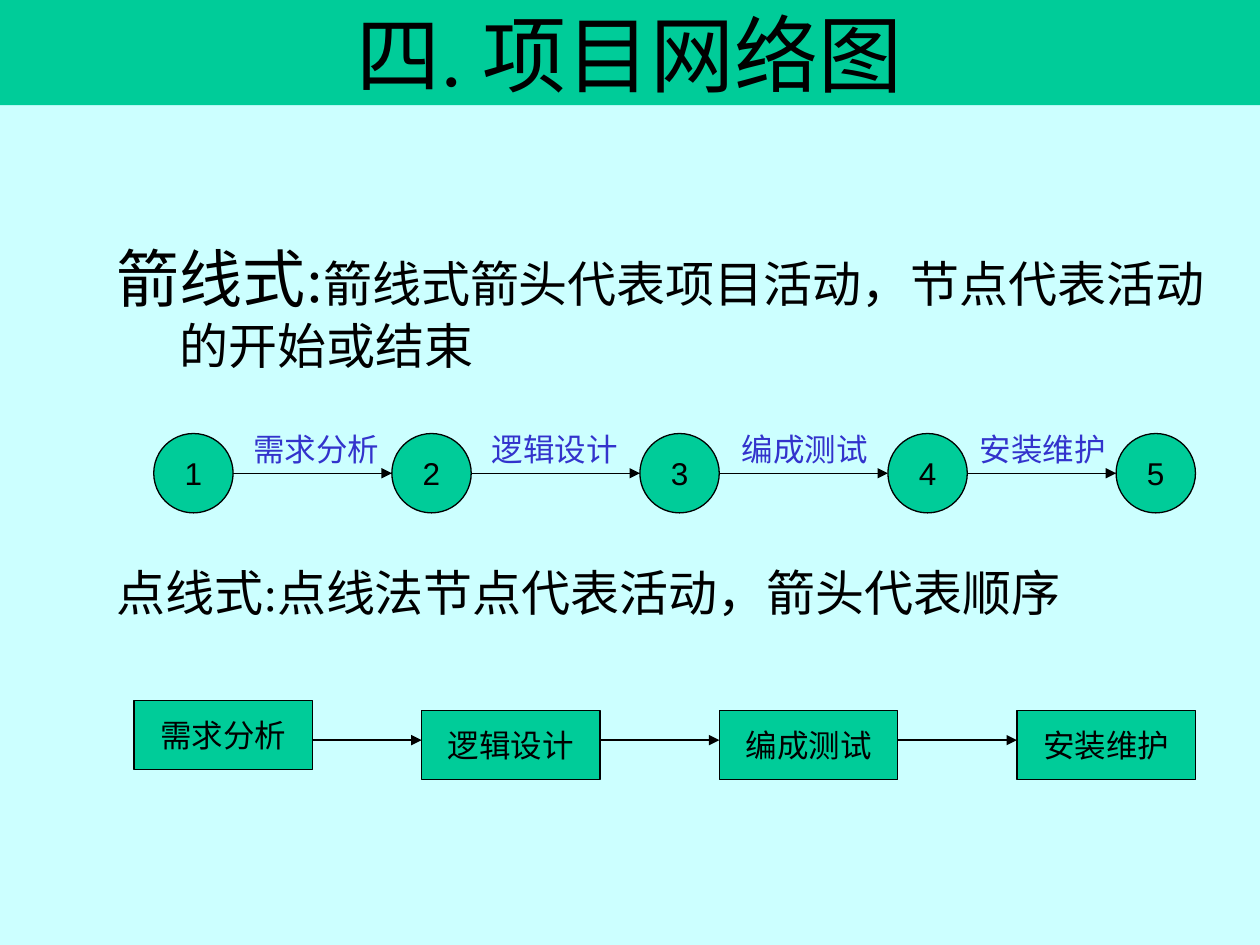
import itertools
from dataclasses import dataclass

import lxml.etree
import pptx
import pptx.dml.color
import pptx.enum.dml
import pptx.enum.shapes
import pptx.enum.text
import pptx.oxml.ns
import pptx.util


@dataclass(frozen=True)
class Theme:
    background: str = "CCFFFF"
    accent: str = "00CC99"
    ink: str = "000000"
    label: str = "3333CC"
    heading_font: str = "Times New Roman"
    diagram_font: str = "Arial"
    title_size: int = 48
    lead_size: int = 36
    body_size: int = 28
    diagram_size: int = 18
    line_width: float = 0.75


@dataclass(frozen=True)
class Box:
    left: float
    top: float
    width: float
    height: float


THEME = Theme()
SLIDE_WIDTH = pptx.util.Inches(10)
SLIDE_HEIGHT = pptx.util.Inches(7.5)
GRID = SLIDE_WIDTH / 127
ACTIVITIES = ("需求分析", "逻辑设计", "编成测试", "安装维护")
SHAPES = pptx.enum.shapes.MSO_SHAPE


def grid(*lengths):
    return [round(length * GRID) for length in lengths]


def color(value):
    return pptx.dml.color.RGBColor.from_string(value)


def fill_solid(fill, value):
    fill.solid()
    fill.fore_color.rgb = color(value)


def style_font(font, name, size, value):
    font.name = name
    font.size = pptx.util.Pt(size)
    font.color.rgb = color(value)


def place(shape, box):
    shape.left, shape.top, shape.width, shape.height = grid(
        box.left, box.top, box.width, box.height)


def add_title(slide, box, text):
    title = slide.shapes.title
    place(title, box)
    fill_solid(title.fill, THEME.accent)
    frame = title.text_frame
    frame.text = text
    frame.auto_size = pptx.enum.text.MSO_AUTO_SIZE.NONE
    frame.vertical_anchor = pptx.enum.text.MSO_ANCHOR.MIDDLE
    paragraph = frame.paragraphs[0]
    paragraph.alignment = pptx.enum.text.PP_ALIGN.CENTER
    style_font(paragraph.font, THEME.heading_font, THEME.title_size, THEME.ink)


def add_definitions(slide, box, definitions):
    body = slide.placeholders[1]
    place(body, box)
    frame = body.text_frame
    frame.auto_size = pptx.enum.text.MSO_AUTO_SIZE.NONE
    for index, (term, meaning, term_size, space_before) in enumerate(definitions):
        paragraph = frame.paragraphs[0] if index == 0 else frame.add_paragraph()
        properties = paragraph._p.get_or_add_pPr()
        indent = pptx.util.Inches(0.5)
        properties.set("marL", str(indent))
        properties.set("indent", str(-indent))
        lxml.etree.SubElement(properties, pptx.oxml.ns.qn("a:buNone"))
        paragraph.space_before = pptx.util.Pt(space_before)
        style_font(paragraph.font, THEME.heading_font, THEME.body_size, THEME.ink)
        term_run = paragraph.add_run()
        term_run.text = term
        if term_size != THEME.body_size:
            term_run.font.size = pptx.util.Pt(term_size)
        paragraph.add_run().text = meaning


def add_arrow(group, start, end, row):
    arrow = group.shapes.add_connector(
        pptx.enum.shapes.MSO_CONNECTOR.STRAIGHT, *grid(start, row, end, row))
    arrow.line.width = pptx.util.Pt(THEME.line_width)
    arrow.line.color.rgb = color(THEME.ink)
    lxml.etree.SubElement(
        arrow.line._get_or_add_ln(), pptx.oxml.ns.qn("a:tailEnd"), type="triangle")
    lxml.etree.SubElement(arrow._element.spPr, pptx.oxml.ns.qn("a:effectLst"))


def add_node(group, kind, box, text):
    node = group.shapes.add_shape(
        kind, *grid(box.left, box.top, box.width, box.height))
    node.shadow.inherit = False
    fill_solid(node.fill, THEME.accent)
    node.line.color.rgb = color(THEME.ink)
    node.line.width = pptx.util.Pt(THEME.line_width)
    frame = node.text_frame
    frame.text = text
    frame.word_wrap = False
    frame.vertical_anchor = pptx.enum.text.MSO_ANCHOR.MIDDLE
    paragraph = frame.paragraphs[0]
    paragraph.alignment = pptx.enum.text.PP_ALIGN.CENTER
    style_font(paragraph.font, THEME.diagram_font, THEME.diagram_size, THEME.ink)


def add_label(group, box, text):
    label = group.shapes.add_textbox(
        *grid(box.left, box.top, box.width, box.height))
    frame = label.text_frame
    frame.text = text
    frame.word_wrap = False
    frame.auto_size = pptx.enum.text.MSO_AUTO_SIZE.SHAPE_TO_FIT_TEXT
    style_font(frame.paragraphs[0].font, THEME.diagram_font,
               THEME.diagram_size, THEME.label)


def node_lefts(box, node_width, gaps):
    steps = (gap + node_width for gap in gaps)
    return list(itertools.accumulate(steps, initial=box.left))


def add_arrow_diagram(slide, box):
    group = slide.shapes.add_group_shape()
    diameter = 8
    lefts = node_lefts(box, diameter, (16, 17, 17, 15))
    for left, following in itertools.pairwise(lefts):
        add_arrow(group, left + diameter, following, box.top + box.height / 2)
    for number, left in enumerate(lefts, 1):
        add_node(group, SHAPES.OVAL, Box(left, box.top, diameter, box.height),
                 str(number))
    for activity, left, offset in zip(ACTIVITIES, lefts, (0.8, 0.8, 1, 0)):
        add_label(group, Box(left + diameter + offset, box.top - 1, 15.25, 5),
                  activity)


def add_node_diagram(slide, box):
    group = slide.shapes.add_group_shape()
    width, height = 18, 7
    lefts = node_lefts(box, width, (11, 12, 12))
    for activity, left, drop in zip(ACTIVITIES, lefts, (0, 1, 1, 1)):
        add_node(group, SHAPES.RECTANGLE, Box(left, box.top + drop, width, height),
                 activity)
    for left, following in itertools.pairwise(lefts):
        add_arrow(group, left + width, following, box.top + box.height / 2)


def main():
    presentation = pptx.Presentation()
    presentation.slide_width = SLIDE_WIDTH
    presentation.slide_height = SLIDE_HEIGHT
    slide = presentation.slides.add_slide(presentation.slide_layouts[1])
    fill_solid(slide.background.fill, THEME.background)
    add_title(slide, Box(0, 0, 127, 10.6), "四. 项目网络图")
    add_definitions(slide, Box(10.5, 23.5, 112.5, 66), (
        ("箭线式:", "箭线式箭头代表项目活动，节点代表活动的开始或结束",
         THEME.lead_size, 0),
        ("点线式:", "点线法节点代表活动，箭头代表顺序", THEME.body_size, 108),
    ))
    add_arrow_diagram(slide, Box(15.5, 43.7, 105, 8))
    add_node_diagram(slide, Box(13.5, 70.6, 107, 8))
    presentation.save("out.pptx")


if __name__ == "__main__":
    main()
